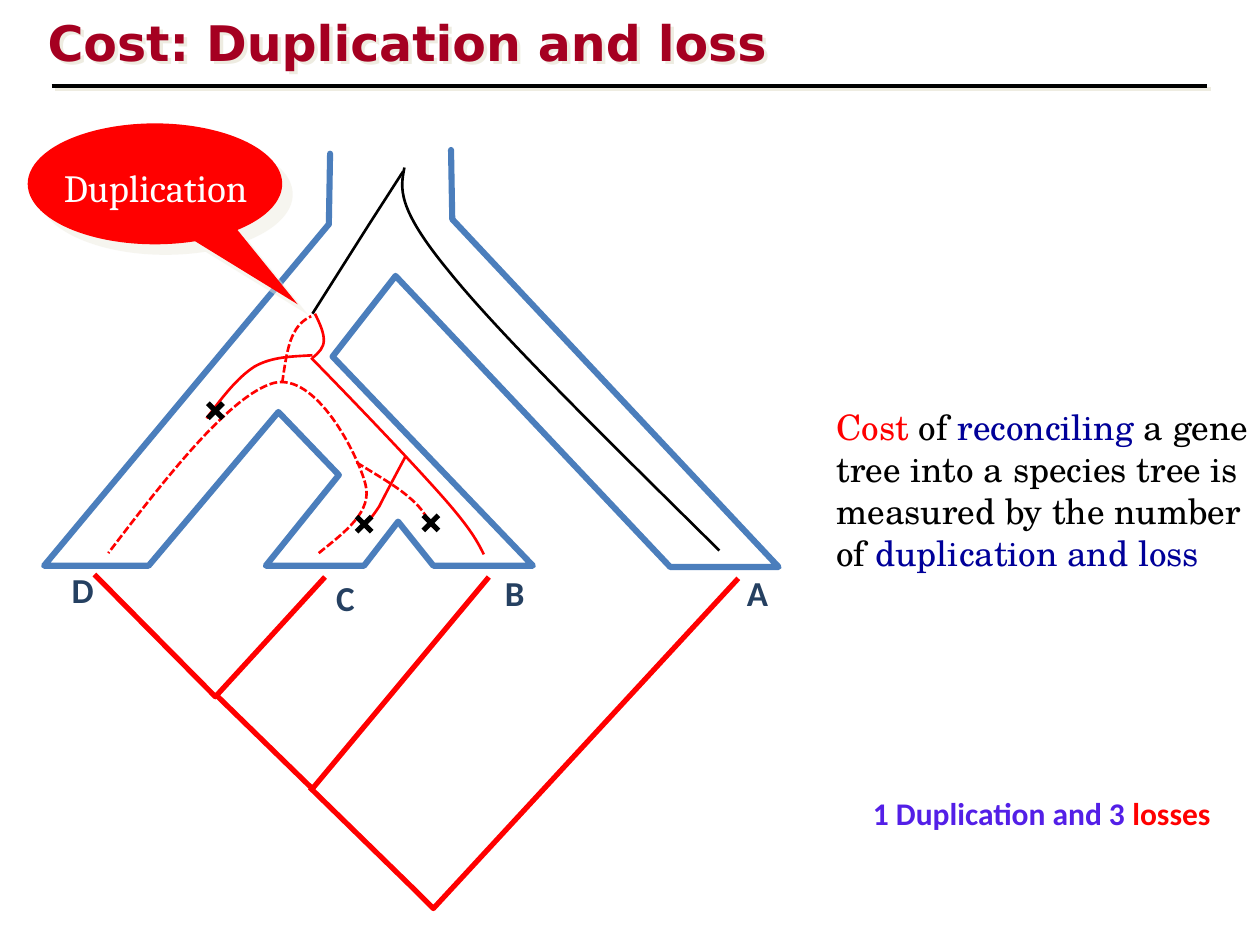
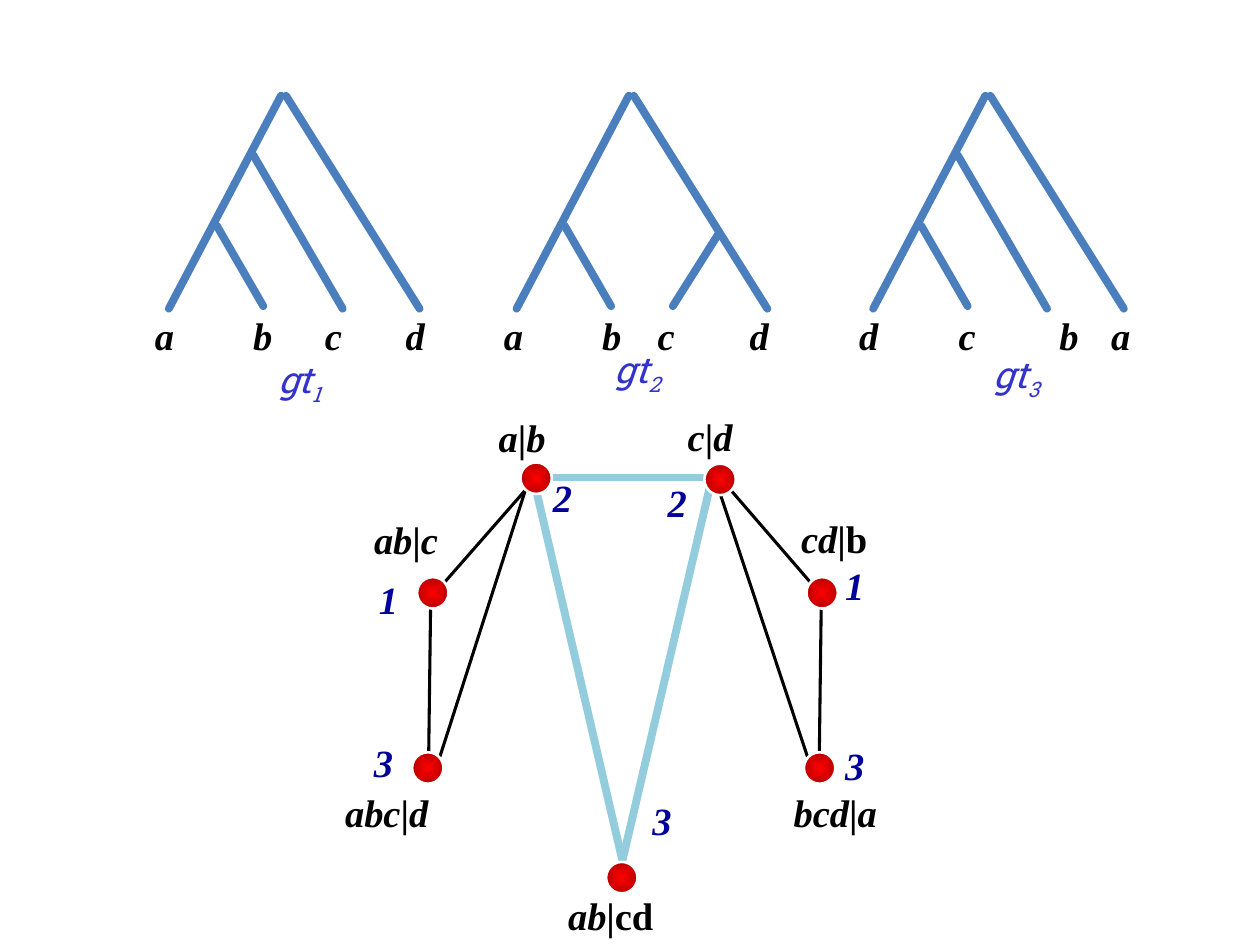
from lxml.etree import SubElement
from pptx import Presentation
from pptx.dml.color import RGBColor
from pptx.enum.dml import MSO_LINE
from pptx.enum.shapes import MSO_CONNECTOR, MSO_SHAPE
from pptx.enum.text import PP_ALIGN
from pptx.oxml.ns import qn
from pptx.util import Inches, Pt

BLACK = RGBColor(0x00, 0x00, 0x00)
WHITE = RGBColor(0xFF, 0xFF, 0xFF)
RED = RGBColor(0xFF, 0x00, 0x00)
DARK_RED = RGBColor(0xB6, 0x00, 0x00)
TITLE_RED = RGBColor(0xA5, 0x00, 0x21)
TREE_BLUE = RGBColor(0x4B, 0x7E, 0xBC)
CLIQUE_BLUE = RGBColor(0x93, 0xCD, 0xDD)
LEAF_BLUE = RGBColor(0x25, 0x40, 0x61)
NAVY = RGBColor(0x00, 0x00, 0x99)
GT_BLUE = RGBColor(0x33, 0x33, 0xCC)
VIOLET = RGBColor(0x53, 0x1F, 0xE7)
SHADOW_COLOR = "EEECE1"
SERIF = "Times New Roman"
NODE_SIZE = 0.25


def add_text(slide, box, runs, size, font, bold=False, align=PP_ALIGN.LEFT):
    """Add a text box whose runs are (text, colour, italic)."""
    textbox = slide.shapes.add_textbox(*map(Inches, box))
    textbox.text_frame.word_wrap = True
    paragraph = textbox.text_frame.paragraphs[0]
    paragraph.alignment = align
    for words, color, italic in runs:
        run = paragraph.add_run()
        run.text = words
        run.font.name, run.font.size = font, Pt(size)
        run.font.bold, run.font.italic = bold, italic
        run.font.color.rgb = color
    return textbox


def set_shadow(shape, distance, alpha):
    """Give a shape a sharp diagonal shadow."""
    effects = SubElement(shape._element.spPr, qn("a:effectLst"))
    outer = SubElement(effects, qn("a:outerShdw"), blurRad="0", dist=str(Pt(distance)),
                       dir="2700000", algn="ctr", rotWithShape="0")
    color = SubElement(outer, qn("a:srgbClr"), val=SHADOW_COLOR)
    SubElement(color, qn("a:alpha"), val=str(alpha * 1000))


def style_line(shape, color, width, rounded=False):
    """Set the colour, width and ends of an outline."""
    shape.line.color.rgb = color
    shape.line.width = Pt(width)
    if rounded:
        outline = shape._element.spPr.find(qn("a:ln"))
        outline.set("cap", "rnd")
        SubElement(outline, qn("a:round"))


def add_line(slide, start, end, color, width, rounded=False, shadow=False):
    """Add a straight line."""
    line = slide.shapes.add_connector(MSO_CONNECTOR.STRAIGHT, *map(Inches, (*start, *end)))
    style_line(line, color, width, rounded)
    if shadow:
        set_shadow(line, 2.8, 100)
    else:
        SubElement(line._element.spPr, qn("a:effectLst"))


def add_path(slide, points, color, width, dashed=False, rounded=False):
    """Add an open outline through the points."""
    corners = [(Inches(x), Inches(y)) for x, y in points]
    builder = slide.shapes.build_freeform(*corners[0], scale=1.0)
    builder.add_line_segments(corners[1:], close=False)
    outline = builder.convert_to_shape()
    outline.shadow.inherit = False
    outline.fill.background()
    outline.line.width = Pt(width)
    if dashed:
        outline.line.dash_style = MSO_LINE.SQUARE_DOT
    style_line(outline, color, width, rounded)
    return outline


def add_curve(slide, controls, color, width, dashed=False):
    """Add a chain of cubic curves, every third point being an anchor."""
    curve = add_path(slide, controls[::3], color, width, dashed)
    segments = list(curve._element.iter(qn("a:lnTo")))
    for i, segment in enumerate(segments):
        segment.tag = qn("a:cubicBezTo")
        for point in list(segment):
            segment.remove(point)
        for x, y in controls[3 * i + 1:3 * i + 4]:
            SubElement(segment, qn("a:pt"), x=str(Inches(x) - curve.left),
                       y=str(Inches(y) - curve.top))


def add_loss(slide, x, y, size=0.12):
    """Mark a lost gene with a cross."""
    add_line(slide, (x, y), (x + size, y + size), BLACK, 3)
    add_line(slide, (x, y + size), (x + size, y), BLACK, 3)


def add_title(slide, title):
    """Add the shadowed title and its rule."""
    heading = add_text(slide, (0.28, 0.05, 9.3, 0.67), [(title, TITLE_RED, False)],
                       28, "DejaVu Sans", bold=True)
    set_shadow(heading, 2.8, 100)
    add_line(slide, (0.41, 0.68), (9.58, 0.68), BLACK, 2.25, shadow=True)


def add_callout(slide, words):
    """Add the speech bubble that points at the duplication."""
    bubble = slide.shapes.add_shape(MSO_SHAPE.OVAL_CALLOUT, *map(Inches, (0.22, 0.98, 2.02, 0.96)))
    bubble.adjustments[0], bubble.adjustments[1] = 0.561, 0.996
    bubble.fill.solid()
    bubble.fill.fore_color.rgb = RED
    bubble.line.fill.background()
    set_shadow(bubble, 8.5, 50)
    add_text(slide, (0.31, 1.25, 1.85, 0.46), [(words, WHITE, False)], 22, "Cambria",
             align=PP_ALIGN.CENTER)


def add_gene_tree(slide, x, balanced, leaves, name_at, number):
    """Add one gene tree with its leaves and name."""
    branches = [((0, 2.45), (0.89, 0.76)), ((0.93, 0.76), (1.99, 2.45)),
                ((0.38, 1.79), (0.75, 2.43)),
                ((1.6, 1.86), (1.24, 2.43)) if balanced else ((0.67, 1.23), (1.38, 2.45))]
    for (x1, y1), (x2, y2) in branches:
        add_line(slide, (x + x1, y1), (x + x2, y2), TREE_BLUE, 4.5, rounded=True)
    for leaf, left in leaves:
        add_text(slide, (left, 2.43, 0.42, 0.47), [(leaf, BLACK, True)], 22, SERIF, bold=True)
    name = add_text(slide, (*name_at, 0.6, 0.45),
                    [("gt", GT_BLUE, True), (number, GT_BLUE, True)], 21, "Roboto Slab")
    subscript = name.text_frame.paragraphs[0].runs[1]
    subscript.font._element.set("baseline", "-25000")


def add_node(slide, x, y):
    """Add a round node shaded from its centre."""
    node = slide.shapes.add_shape(MSO_SHAPE.OVAL, *map(Inches, (x, y, NODE_SIZE, NODE_SIZE)))
    node.shadow.inherit = False
    node.fill.gradient()
    for stop, color in zip(node.fill.gradient_stops, (RED, DARK_RED)):
        stop.color.rgb = color
    gradient = node._element.spPr.find(qn("a:gradFill"))
    gradient.remove(gradient.find(qn("a:lin")))
    centre = SubElement(gradient, qn("a:path"), path="shape")
    SubElement(centre, qn("a:fillToRect"), l="50000", t="50000", r="50000", b="50000")
    style_line(node, WHITE, 1.5)


def add_vertex(slide, node_at, split, label_box, count, count_at):
    """Add a node with its split label and its count."""
    left, right, right_italic = split
    if right_italic:
        runs = [(left, BLACK, True), ("|", BLACK, False), (right, BLACK, True)]
    else:
        runs = [(left, BLACK, True), ("|" + right, BLACK, False)]
    add_node(slide, *node_at)
    add_text(slide, (*label_box, 0.47), runs, 22, SERIF, bold=True)
    add_text(slide, (*count_at, 0.4, 0.47), [(count, NAVY, True)], 22, SERIF, bold=True)


def build_cost_slide(slide):
    """Show a gene tree reconciled inside a species tree."""
    species_tree = [(2.61, 1.78), (0.35, 4.49), (1.18, 4.49), (2.21, 3.27), (2.69, 3.77),
                    (2.11, 4.49), (2.89, 4.49), (3.16, 4.14), (3.44, 4.49), (4.07, 4.49),
                    (4.23, 4.49), (2.64, 2.83), (3.14, 2.19), (5.32, 4.5), (5.99, 4.5),
                    (6.18, 4.5), (3.59, 1.74), (3.58, 1.19)]
    for wall in (species_tree, [(2.61, 1.78), (2.62, 1.22)]):
        add_path(slide, wall, TREE_BLUE, 3.5, rounded=True)

    gene_tree = [[(0.75, 4.56), (1.71, 5.53), (2.58, 4.58)],
                 [(1.71, 5.51), (2.48, 6.26), (3.88, 4.58)],
                 [(2.46, 6.25), (3.31, 7.08), (3.44, 7.21), (5.86, 4.59)]]
    for branch in gene_tree:
        add_path(slide, branch, RED, 3)
    for leaf, x, y in [("D", 0.47, 4.46), ("C", 2.57, 4.53), ("B", 3.91, 4.49), ("A", 5.83, 4.49)]:
        add_text(slide, (x, y, 0.34, 0.44), [(leaf, LEAF_BLUE, False)], 20, "Calibri", bold=True)

    dashed_copies = [
        [(2.53, 4.39), (2.74, 4.22), (2.96, 4.06), (2.9, 3.84), (2.84, 3.61), (2.51, 2.95),
         (2.17, 3.04), (1.83, 3.14), (1.34, 3.76), (0.86, 4.39)],
        [(2.83, 3.67), (2.99, 3.77), (3.15, 3.86), (3.25, 3.95), (3.35, 4.03), (3.39, 4.11),
         (3.43, 4.18)],
        [(2.24, 3.04), (2.26, 2.9), (2.28, 2.76), (2.32, 2.67), (2.36, 2.58), (2.41, 2.54),
         (2.47, 2.51)]]
    solid_copies = [
        [(2.48, 2.82), (2.32, 2.83), (2.16, 2.83), (2.02, 2.91), (1.88, 3), (1.76, 3.16),
         (1.64, 3.32)],
        [(2.47, 2.84), (2.88, 3.26), (3.28, 3.68), (3.51, 3.94), (3.74, 4.2), (3.79, 4.3),
         (3.84, 4.4)],
        [(2.48, 2.84), (2.53, 2.8), (2.57, 2.76), (2.57, 2.7), (2.57, 2.64), (2.54, 2.57),
         (2.5, 2.49)],
        [(3.22, 3.62), (3.14, 3.77), (3.06, 3.92), (3.01, 4.02), (2.95, 4.11), (2.92, 4.14),
         (2.89, 4.17)]]
    lineage_to_a = [(5.71, 4.37), (4.84, 3.51), (3.97, 2.66), (3.56, 2.15), (3.14, 1.64),
                    (3.18, 1.49), (3.21, 1.33)]
    for lineage in dashed_copies:
        add_curve(slide, lineage, RED, 1.5, dashed=True)
    for lineage in solid_copies:
        add_curve(slide, lineage, RED, 1.5)
    add_curve(slide, lineage_to_a, BLACK, 1.5)
    add_path(slide, [(2.48, 2.49), (2.93, 1.78), (3.2, 1.36)], BLACK, 1.5)
    for x, y in [(3.36, 4.09), (1.65, 3.2), (2.83, 4.1)]:
        add_loss(slide, x, y)

    add_callout(slide, "Duplication")
    add_text(slide, (6.83, 6.25, 2.97, 0.4),
             [("1 Duplication and 3 ", VIOLET, False), ("losses", RED, False)],
             18, "Calibri", bold=True)
    add_text(slide, (6.54, 3.17, 3.57, 1.45),
             [("Cost", RED, False), (" of ", BLACK, False), ("reconciling", NAVY, False),
              (" a gene tree into a species tree is measured by the number of ", BLACK, False),
              ("duplication and loss", NAVY, False)], 20, "TeX Gyre Schola")
    add_title(slide, "Cost: Duplication and loss")


def build_clique_slide(slide):
    """Show three gene trees and the compatibility graph of their splits."""
    add_gene_tree(slide, 1.34, False,
                  [("a", 1.13), ("b", 1.91), ("c", 2.48), ("d", 3.12)], (2.11, 2.78), "1")
    add_gene_tree(slide, 4.1, True,
                  [("a", 3.9), ("b", 4.68), ("c", 5.12), ("d", 5.85)], (4.78, 2.7), "2")
    add_gene_tree(slide, 6.93, False,
                  [("d", 6.72), ("c", 7.51), ("b", 8.31), ("a", 8.72)], (7.79, 2.74), "3")

    clique = [((5.59, 3.79), (4.38, 3.79)), ((4.26, 3.91), (4.94, 6.83)),
              ((5.63, 3.88), (4.94, 6.83))]
    edges = [((3.42, 4.64), (3.4, 6.17)), ((6.52, 4.65), (6.5, 6.18)),
             ((4.17, 3.89), (3.53, 4.62)), ((6.43, 4.62), (5.8, 3.89)),
             ((4.17, 3.89), (3.49, 6.01)), ((5.72, 3.93), (6.41, 6.01)),
             ((5.59, 3.8), (4.38, 3.8)), ((4.25, 3.92), (4.93, 6.84)),
             ((5.63, 3.89), (4.93, 6.84))]
    for start, end in edges:
        add_line(slide, start, end, BLACK, 1.75)
    for start, end in clique:
        add_line(slide, start, end, CLIQUE_BLUE, 4.5)

    vertices = [
        ((4.13, 3.67), ("a", "b", True), (3.86, 3.24, 0.79), "2", (4.29, 3.71)),
        ((5.59, 3.68), ("c", "d", True), (5.36, 3.23, 0.79), "2", (5.2, 3.75)),
        ((3.31, 4.58), ("ab", "c", True), (2.87, 4.05, 1.02), "1", (2.91, 4.52)),
        ((6.4, 4.58), ("cd", "b", False), (6.26, 4.04, 1.07), "1", (6.61, 4.41)),
        ((3.27, 5.97), ("abc", "d", True), (2.64, 6.21, 1.02), "3", (2.87, 5.82)),
        ((6.38, 5.97), ("bcd", "a", True), (6.2, 6.21, 1.16), "3", (6.61, 5.84)),
        ((4.81, 6.84), ("ab", "cd", False), (4.41, 7.03, 1.18), "3", (5.08, 6.28))]
    for vertex in vertices:
        add_vertex(slide, *vertex)


def main():
    """Build both slides and save the deck."""
    deck = Presentation()
    deck.slide_width, deck.slide_height = Inches(10), Inches(7.5)
    for build in (build_cost_slide, build_clique_slide):
        build(deck.slides.add_slide(deck.slide_layouts[6]))
    deck.save("out.pptx")


if __name__ == "__main__":
    main()
